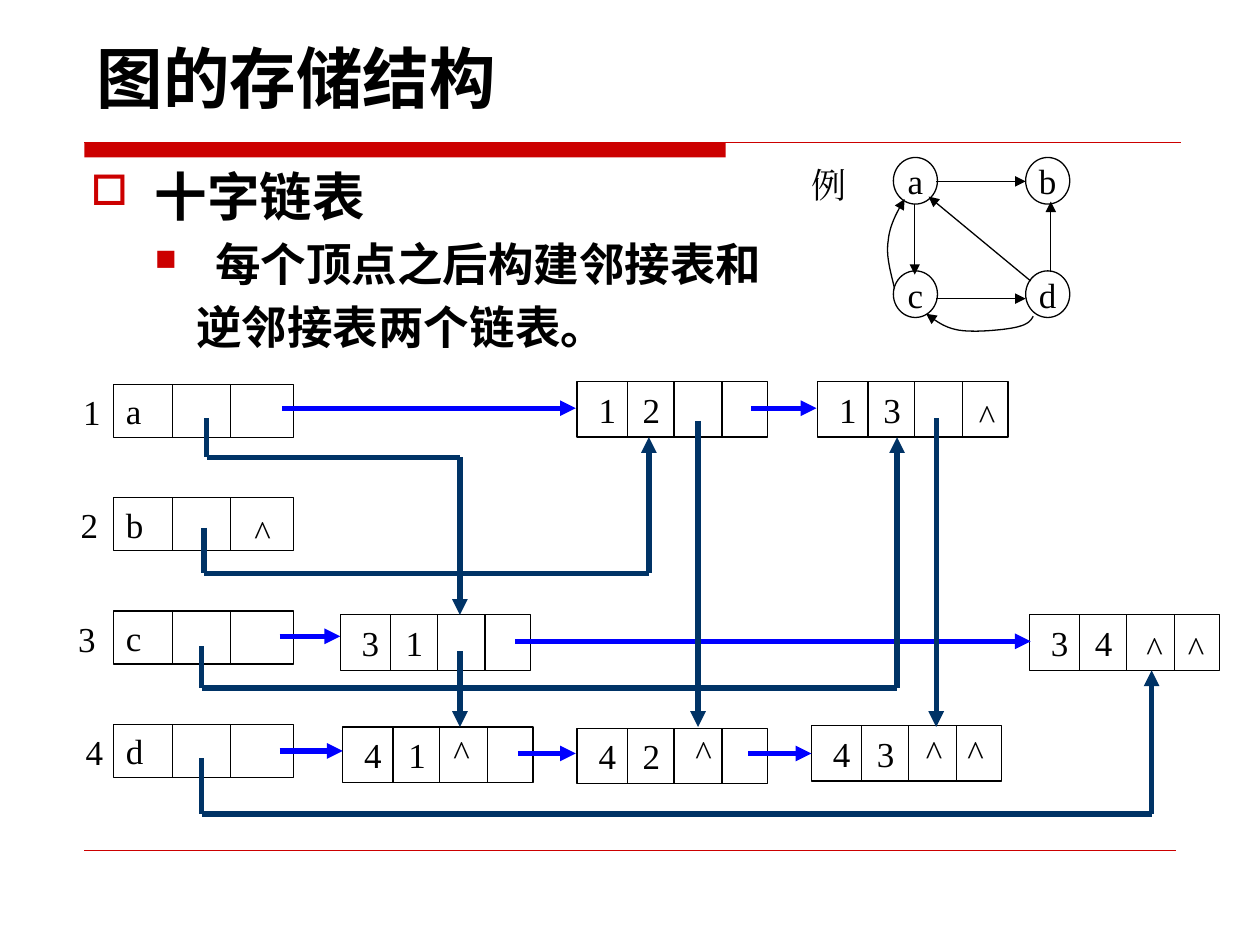
from lxml import etree
from pptx import Presentation
from pptx.dml.color import RGBColor
from pptx.enum.shapes import MSO_CONNECTOR, MSO_SHAPE
from pptx.enum.text import MSO_ANCHOR, PP_ALIGN
from pptx.oxml.ns import qn
from pptx.util import Emu, Inches, Pt

STRAIGHT = MSO_CONNECTOR.STRAIGHT
RECTANGLE, OVAL = MSO_SHAPE.RECTANGLE, MSO_SHAPE.OVAL
TOP, MIDDLE, BOTTOM = MSO_ANCHOR.TOP, MSO_ANCHOR.MIDDLE, MSO_ANCHOR.BOTTOM
LEFT, CENTER = PP_ALIGN.LEFT, PP_ALIGN.CENTER
BLACK = RGBColor(0x00, 0x00, 0x00)
RED = RGBColor(0xCC, 0x00, 0x00)
BLUE = RGBColor(0x00, 0x00, 0xFF)
NAVY = RGBColor(0x00, 0x33, 0x66)
HEADING_FONT, DIAGRAM_FONT = "DejaVu Sans", "Times New Roman"

TITLE = "图的存储结构"
# text, size, left margin, first-line indent, bullet, bullet size in percent
BODY = [
    ("十字链表", 30, 0.51, -0.51, "□", 80),
    ("每个顶点之后构建邻接表和", 26, 0.99, -0.48, "■", 65),
    ("逆邻接表两个链表。", 26, 0.84, 0, None, None),
]

# Example graph
GRAPH_NODES = {"a": (7.09, 1.25), "b": (8.14, 1.25),
               "c": (7.09, 2.15), "d": (8.14, 2.15)}
NODE_SIZE = (0.35, 0.37)
GRAPH_EDGES = [
    [(7.43, 1.44), (8.14, 1.44)],
    [(7.43, 2.37), (8.14, 2.37)],
    [(7.26, 1.62), (7.26, 2.18)],
    [(8.18, 2.23), (7.37, 1.56)],
    [(8.34, 2.16), (8.34, 1.6)],
]
# Start point, then three control points for each cubic segment
CURVED_EDGES = [
    [(8.2, 2.51), (8.18, 2.55), (8.15, 2.58), (8.05, 2.6),
     (7.95, 2.62), (7.72, 2.64), (7.61, 2.62),
     (7.49, 2.6), (7.42, 2.54), (7.35, 2.49)],
    [(7.1, 2.29), (7.07, 2.16), (7.03, 2.03), (7.05, 1.91),
     (7.06, 1.79), (7.12, 1.68), (7.18, 1.58)],
]
CURVE_STEPS = 12

# Orthogonal list: vertex rows and arc nodes
VERTICES = [("1", 0.56, "a"), ("2", 0.54, "b"), ("3", 0.52, "c"), ("4", 0.58, "d")]
VERTEX_LEFT, VERTEX_TOP, ROW_PITCH = 0.9, 3.05, 0.9
VERTEX_SIZE, VERTEX_DIVIDERS = (1.43, 0.42), (0.47, 0.93)
ARCS = [
    ("1", "3", 6.49, 3.03), ("1", "2", 4.58, 3.03),
    ("3", "4", 8.17, 4.88), ("3", "1", 2.7, 4.88),
    ("4", "3", 6.44, 5.76), ("4", "2", 4.58, 5.78), ("4", "1", 2.72, 5.77),
]
ARC_SIZE, ARC_DIVIDERS = (1.51, 0.44), (0.4, 0.77, 1.15)
ARC_INSET, ARC_TAB = 0.17, 0.35
OUT_LINKS = [
    [(2.24, 3.24), (4.57, 3.24)], [(5.96, 3.24), (6.48, 3.24)],
    [(2.22, 5.05), (2.7, 5.05)], [(4.09, 5.09), (8.18, 5.09)],
    [(2.22, 5.96), (2.72, 5.96)], [(4.11, 5.98), (4.57, 5.98)],
    [(5.94, 5.98), (6.44, 5.98)],
]
IN_LINKS = [
    [(1.64, 3.32), (1.64, 3.63), (3.65, 3.63), (3.65, 4.88)],
    [(1.62, 4.19), (1.62, 4.55), (5.15, 4.55), (5.15, 3.47)],
    [(1.6, 5.13), (1.6, 5.46), (7.12, 5.46), (7.12, 3.47)],
    [(1.6, 6.02), (1.6, 6.46), (9.14, 6.46), (9.14, 5.32)],
    [(3.65, 5.17), (3.65, 5.77)],
    [(5.54, 3.34), (5.54, 5.77)],
    [(7.43, 3.32), (7.43, 5.77)],
]
NULL_MARKS = [(7.67, 3.08), (1.92, 4), (9.33, 4.92), (9, 4.92),
              (7.58, 5.75), (3.5, 5.75), (5.42, 5.75), (7.25, 5.75)]


def style(para, size, font=DIAGRAM_FONT, bold=False, align=LEFT):
    para.alignment = align
    para.font.size, para.font.bold = Pt(size), bold
    para.font.color.rgb = BLACK
    para.font.name = font
    defaults = para._p.pPr.find(qn("a:defRPr"))
    etree.SubElement(defaults, qn("a:ea"), typeface=font)


def add_text(slide, text, left, top, width, height, size=20,
             font=DIAGRAM_FONT, bold=False, align=LEFT, anchor=MIDDLE, wrap=False):
    box = slide.shapes.add_textbox(*map(Inches, (left, top, width, height)))
    frame = box.text_frame
    frame.word_wrap, frame.vertical_anchor = wrap, anchor
    frame.text = text
    style(frame.paragraphs[0], size, font, bold, align)


def add_outline(slide, kind, left, top, size, text, align=LEFT, tab=None):
    shape = slide.shapes.add_shape(kind, *map(Inches, (left, top, *size)))
    shape.shadow.inherit = False
    shape.fill.background()
    shape.line.color.rgb, shape.line.width = BLACK, Pt(0.75)
    frame = shape.text_frame
    frame.word_wrap, frame.vertical_anchor = tab is not None, MIDDLE
    para = frame.paragraphs[0]
    para.text = text
    if tab:
        frame.margin_left = Inches(ARC_INSET)
        tabs = etree.SubElement(para._p.get_or_add_pPr(), qn("a:tabLst"))
        etree.SubElement(tabs, qn("a:tab"), pos=str(Inches(tab)), algn="l")
    style(para, 20, align=align)


def add_arrowhead(shape):
    line = shape.line._get_or_add_ln()
    etree.SubElement(line, qn("a:tailEnd"), type="triangle")


def add_route(slide, points, color=BLACK, width=0.75, arrow=True):
    """Join the points with straight lines, the last one with an arrowhead."""
    for start, end in zip(points, points[1:]):
        line = slide.shapes.add_connector(STRAIGHT, *map(Inches, (*start, *end)))
        line.line.color.rgb, line.line.width = color, Pt(width)
        etree.SubElement(line._element.spPr, qn("a:effectLst"))
    if arrow:
        add_arrowhead(line)


def curve_points(controls):
    """Sample a chain of cubic Bezier segments."""
    points = [controls[0]]
    for first in range(0, len(controls) - 1, 3):
        segment = controls[first:first + 4]
        for step in range(1, CURVE_STEPS + 1):
            t = step / CURVE_STEPS
            weights = ((1 - t) ** 3, 3 * t * (1 - t) ** 2, 3 * t * t * (1 - t), t ** 3)
            points.append(tuple(sum(w * p[axis] for w, p in zip(weights, segment))
                                for axis in (0, 1)))
    return [(Inches(x), Inches(y)) for x, y in points]


def add_curve(slide, controls):
    start, *rest = curve_points(controls)
    builder = slide.shapes.build_freeform(*start)
    builder.add_line_segments(rest, close=False)
    curve = builder.convert_to_shape(Emu(0), Emu(0))
    curve.shadow.inherit = False
    curve.fill.background()
    curve.line.color.rgb, curve.line.width = BLACK, Pt(0.75)
    add_arrowhead(curve)


def add_cells(slide, left, top, size, dividers, text, tab=None):
    add_outline(slide, RECTANGLE, left, top, size, text, tab=tab)
    for offset in dividers:
        x = left + offset
        add_route(slide, [(x, top), (x, top + size[1])], arrow=False)


def add_body(slide):
    box = slide.shapes.add_textbox(*map(Inches, (0.62, 1.25, 8.75, 5.34)))
    frame = box.text_frame
    frame.word_wrap = True
    for index, (text, size, margin, indent, bullet, percent) in enumerate(BODY):
        para = frame.add_paragraph() if index else frame.paragraphs[0]
        para.text = text
        props = para._p.get_or_add_pPr()
        props.set("marL", str(Inches(margin)))
        props.set("indent", str(Inches(indent)))
        if index:
            para.space_before = Pt(size * 0.2)
        if bullet:
            color = etree.SubElement(props, qn("a:buClr"))
            etree.SubElement(color, qn("a:srgbClr"), val=str(RED))
            etree.SubElement(props, qn("a:buSzPct"), val=str(percent * 1000))
            etree.SubElement(props, qn("a:buChar"), char=bullet)
        style(para, size, HEADING_FONT, bold=True)


def main():
    deck = Presentation()
    deck.slide_width, deck.slide_height = Inches(10), Inches(7.5)
    slide = deck.slides.add_slide(deck.slide_layouts[6])

    bar = slide.shapes.add_shape(RECTANGLE, *map(Inches, (0.67, 1.13, 5.09, 0.12)))
    bar.shadow.inherit = False
    bar.fill.solid()
    bar.fill.fore_color.rgb = RED
    bar.line.fill.background()
    add_route(slide, [(0.67, 1.13), (9.37, 1.13)], RED, arrow=False)
    add_route(slide, [(0.67, 6.75), (9.33, 6.75)], RED, 0.25, arrow=False)
    add_text(slide, TITLE, 0.67, 0.12, 6.56, 0.86, 38, HEADING_FONT, True,
             anchor=BOTTOM, wrap=True)
    add_body(slide)

    add_text(slide, "例", 6.34, 1.25, 0.48, 0.43, align=CENTER)
    for name, (left, top) in GRAPH_NODES.items():
        add_outline(slide, OVAL, left, top, NODE_SIZE, name, CENTER)
    for edge in GRAPH_EDGES:
        add_route(slide, edge)
    for controls in CURVED_EDGES:
        add_curve(slide, controls)

    for row, (number, number_left, name) in enumerate(VERTICES):
        top = VERTEX_TOP + row * ROW_PITCH
        add_cells(slide, VERTEX_LEFT, top, VERTEX_SIZE, VERTEX_DIVIDERS, name)
        add_text(slide, number, number_left, top, 0.34, 0.43, align=CENTER)
    for tail, head, left, top in ARCS:
        add_cells(slide, left, top, ARC_SIZE, ARC_DIVIDERS, f"{tail}\t{head}", ARC_TAB)
    for links, color in ((OUT_LINKS, BLUE), (IN_LINKS, NAVY)):
        for points in links:
            add_route(slide, points, color, 3)
    for left, top in NULL_MARKS:
        add_text(slide, "^", left, top, 0.33, 0.43, anchor=TOP)

    deck.save("out.pptx")


if __name__ == "__main__":
    main()
